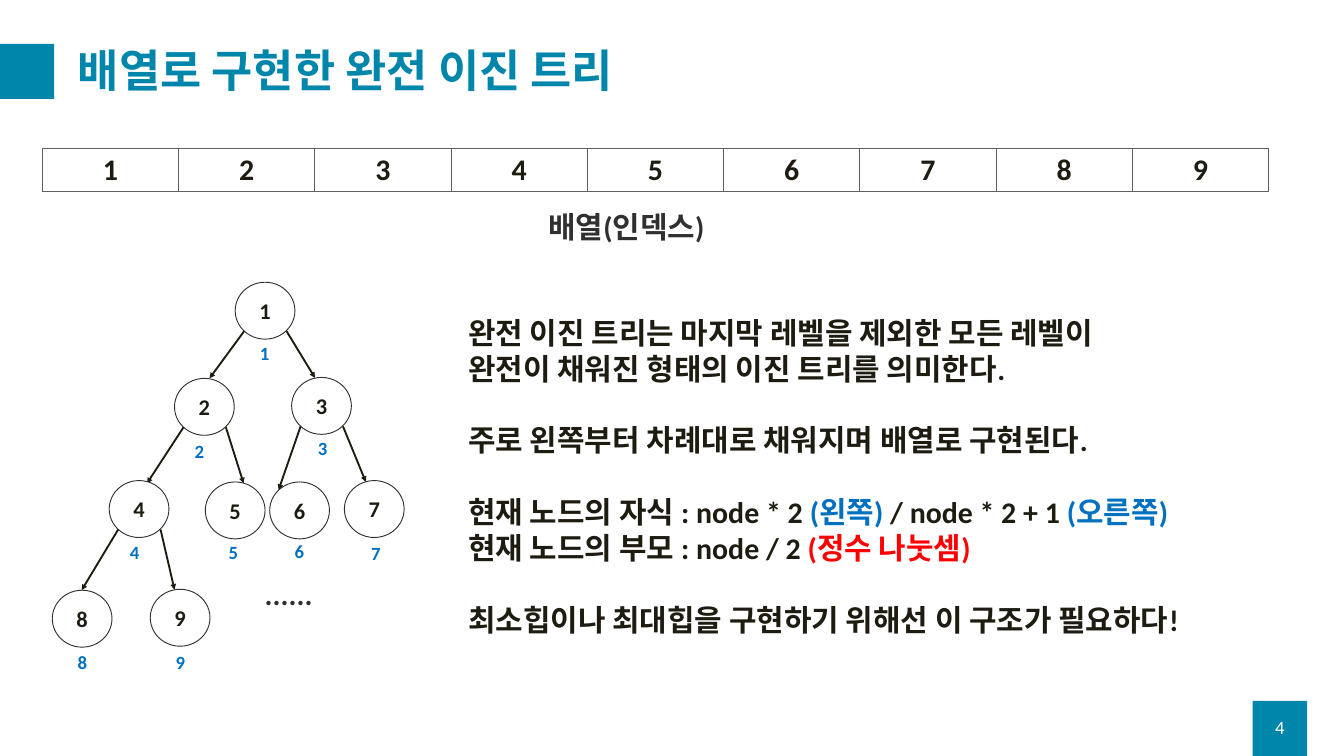
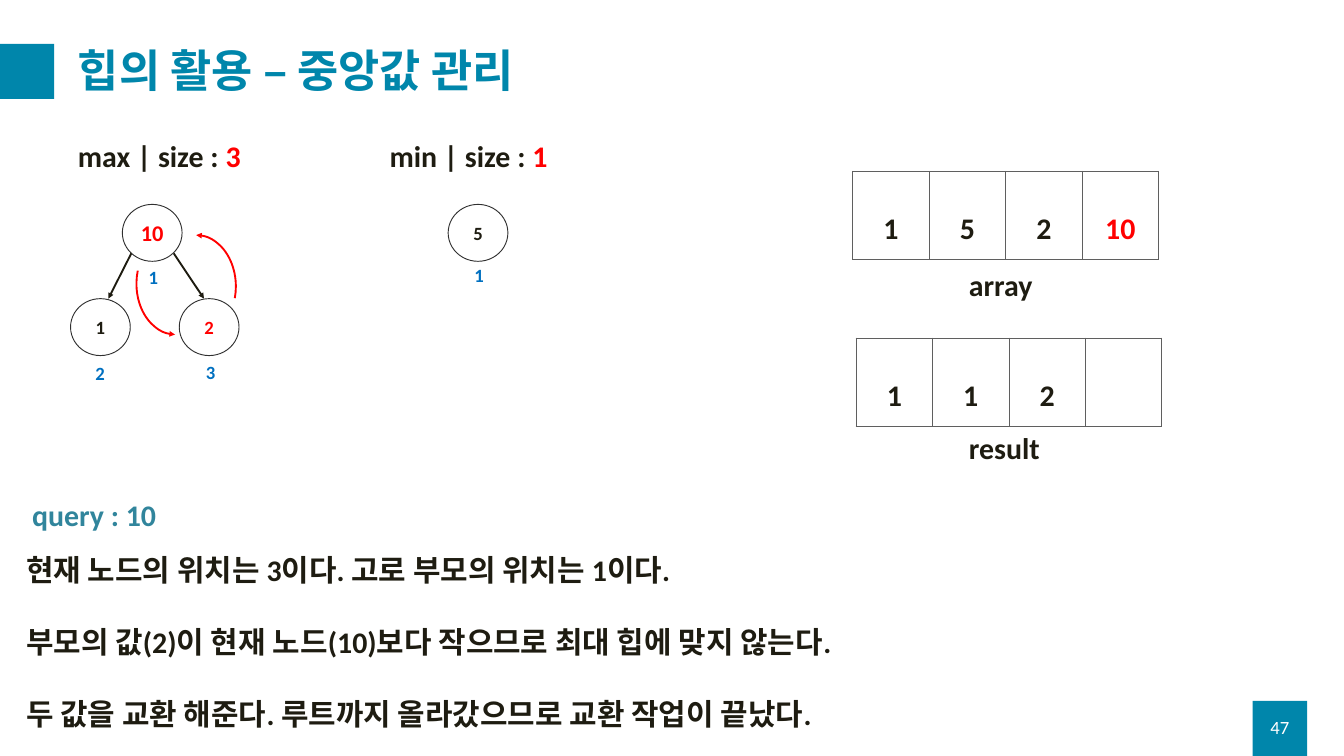
from lxml.etree import SubElement
from pptx import Presentation
from pptx.dml.color import RGBColor
from pptx.enum.shapes import MSO_CONNECTOR, MSO_SHAPE
from pptx.enum.text import MSO_ANCHOR, MSO_AUTO_SIZE, PP_ALIGN
from pptx.oxml.ns import qn
from pptx.util import Pt

TEAL, INK, GREY = "0086AB", "1E1C11", "303030"
BLUE, RED, WHITE, RULE = "0070C0", "FF0000", "FFFFFF", "5F5F5F"
FONT = "Calibri"
LEFT, MID = PP_ALIGN.LEFT, PP_ALIGN.CENTER
NODE_W, NODE_H = 64, 61
GAP = 38.5  # height of one skipped line


def paint(hue):
    return RGBColor.from_string(hue)


def write(frame, lines, size=32, hue=INK, bold=True, align=LEFT, space=None, gaps=()):
    """Fill a frame; a line is a string or a list of (text, hue) runs."""
    for row, line in enumerate(lines):
        para = frame.paragraphs[0] if row == 0 else frame.add_paragraph()
        para.alignment = align
        if space:
            para.line_spacing = space
        if row in gaps:
            para.space_before = Pt(GAP)
        for text, tint in [(line, hue)] if isinstance(line, str) else line:
            run = para.add_run()
            run.text = text
            font = run.font
            font.name, font.size, font.bold = FONT, Pt(size), bold
            font.color.rgb = paint(tint)


def label(slide, box, *lines, anchor=MSO_ANCHOR.TOP, **form):
    frame = slide.shapes.add_textbox(*map(Pt, box)).text_frame
    frame.word_wrap = True
    frame.vertical_anchor = anchor
    write(frame, lines, **form)


def shape(slide, kind, box, fill=None, line=None, width=1):
    item = slide.shapes.add_shape(kind, *map(Pt, box))
    item.shadow.inherit = False
    if fill:
        item.fill.solid()
        item.fill.fore_color.rgb = paint(fill)
    else:
        item.fill.background()
    if line:
        item.line.color.rgb = paint(line)
        item.line.width = Pt(width)
    else:
        item.line.fill.background()
    return item


def tip(item, end):
    SubElement(item.line._get_or_add_ln(), qn(f"a:{end}"), type="triangle")


def arrow(slide, start, stop):
    item = slide.shapes.add_connector(MSO_CONNECTOR.STRAIGHT, *map(Pt, start + stop))
    item.line.color.rgb = paint(INK)
    item.line.width = Pt(2)
    tip(item, "tailEnd")
    SubElement(item.element.spPr, qn("a:effectLst"))


def arc(slide, box, turn=0):
    item = shape(slide, MSO_SHAPE.ARC, box, line=RED, width=2)
    item.adjustments[0], item.adjustments[1] = 162, 10.149
    item.rotation = turn
    tip(item, "headEnd")


# Shared layout and page frame
def bands(deck, layout):
    """Move the two teal squares onto the layout."""
    slide = deck.slides[0]
    for x, y in ((1342, 751), (-0.5, 47)):
        band = shape(slide, MSO_SHAPE.RECTANGLE, (x, y, 58.5, 59), TEAL)
        layout.shapes.element.insert(2, band.element)


def page(deck, layout, title, number):
    slide = deck.slides.add_slide(layout)
    head = slide.shapes.title
    head.left, head.top, head.width, head.height = map(Pt, (76.3, 36, 1314, 85))
    frame = head.text_frame
    frame.auto_size = MSO_AUTO_SIZE.NONE
    frame.vertical_anchor = MSO_ANCHOR.MIDDLE
    write(frame, [title], size=48, hue=TEAL, space=0.9)
    label(slide, (1342, 757.5, 58.5, 43), str(number), size=20, hue=WHITE,
          bold=False, align=MID, anchor=MSO_ANCHOR.MIDDLE)
    return slide


# Array drawn as a one-row table
def edge(cell):
    props = cell._tc.get_or_add_tcPr()
    for row, side in enumerate(("lnL", "lnR", "lnT", "lnB")):
        line = SubElement(props, qn(f"a:{side}"), w=str(Pt(1)))
        fill = SubElement(line, qn("a:solidFill"))
        SubElement(fill, qn("a:srgbClr"), val=RULE)
        props.insert(row, line)


def array(slide, box, items, space=None, hot=None):
    x, y, wide, high = box
    table = slide.shapes.add_table(1, len(items), *map(Pt, box)).table
    table.first_row = table.horz_banding = False
    table.rows[0].height = Pt(high)
    for col, item in enumerate(items):
        table.columns[col].width = Pt(wide / len(items))
        cell = table.cell(0, col)
        cell.fill.solid()
        cell.fill.fore_color.rgb = paint(WHITE)
        edge(cell)
        if item:
            write(cell.text_frame, [item], align=MID, space=space,
                  hue=RED if col == hot else INK)


# Binary tree: index -> (x, y), value, tag offset, arrow tip offset
def node(slide, x, y, value, size, hue):
    ball = shape(slide, MSO_SHAPE.OVAL, (x, y, NODE_W, NODE_H), WHITE, GREY)
    frame = ball.text_frame
    frame.margin_left = frame.margin_right = 0
    frame.vertical_anchor = MSO_ANCHOR.MIDDLE
    write(frame, [value], size=size, hue=hue, align=MID)


def tree(slide, left, top, nodes, sizes=(24, 24), hot=()):
    for index, (spot, value, tag, end) in nodes.items():
        x, y = left + spot[0], top + spot[1]
        if end:
            above = nodes[index // 2][0]
            share = 0.86 if index % 2 else 0.15
            start = (left + above[0] + share * NODE_W, top + above[1] + 0.86 * NODE_H)
            arrow(slide, start, (x + end[0], y + end[1]))
        node(slide, x, y, value, sizes[index > 1], RED if index in hot else INK)
        label(slide, (x + tag[0], y + tag[1], 21.6, 31.5), str(index),
              size=20, hue=BLUE)


FULL = {
    1: ((196, 0), "1", (19.5, 60), None),
    2: ((131, 103), "2", (14.5, 62.5), (37.5, 0)),
    3: ((256.5, 102), "3", (21, 60.5), (25, 0.5)),
    4: ((61, 212.5), "4", (15, 60.5), (40.5, 3)),
    5: ((164, 214), "5", (18, 59), (41, 1.5)),
    6: ((233, 214), "6", (19.5, 58.5), (9.5, 8.5)),
    7: ((313, 212.5), "7", (21.5, 62.5), (23, 1.5)),
    8: ((0, 330), "8", (20, 61), (31.5, 0)),
    9: ((105, 329), "9", (20, 62), (26, 0.5)),
}
MAX = {
    1: ((55.5, 0), "10", (21, 62), None),
    2: ((0, 101), "1", (19.5, 64), (40.5, 0)),
    3: ((116.5, 101), "2", (21.5, 63.5), (26.5, 0)),
}
MIN = {1: ((0, 0), "5", (21, 60.5), None)}


def heap(slide, left, top, name, count):
    label(slide, (left, top, 216, 46),
          [(f"{name} | size : ", INK), (count, RED)])


def swap(slide, left, top):
    """Two red arcs that show the exchange of nodes."""
    arc(slide, (left + 21.5, top + 3.5, 85, 110))
    arc(slide, (left, top, 85, 110), 181.2)


# Slides
def complete(slide):
    array(slide, (45.4, 159, 1314, 45), [str(n) for n in range(1, 10)])
    label(slide, (580.3, 220.3, 186.5, 46), "배열(인덱스)", hue=GREY)
    tree(slide, 56, 302.4, FULL)
    label(slide, (276.5, 613.5, 186.5, 46), "......", hue=GREY)
    label(slide, (494.6, 333.4, 846, 356),
          "완전 이진 트리는 마지막 레벨을 제외한 모든 레벨이",
          "완전이 채워진 형태의 이진 트리를 의미한다.",
          "주로 왼쪽부터 차례대로 채워지며 배열로 구현된다.",
          [("현재 노드의 자식 : node * 2 ", INK), ("(왼쪽) ", BLUE),
           ("/ node * 2 + 1 ", INK), ("(오른쪽)", BLUE)],
          [("현재 노드의 부모 : node / 2 ", INK), ("(정수 나눗셈)", RED)],
          "최소힙이나 최대힙을 구현하기 위해선 이 구조가 필요하다!",
          gaps=(2, 3, 5))


def median(slide):
    array(slide, (913.7, 183.6, 327.6, 94.3), ["1", "5", "2", "10"], space=2, hot=3)
    array(slide, (917.3, 362.2, 327.6, 94.3), ["1", "1", "2", ""], space=2)
    label(slide, (1031, 282.2, 83, 46), "array")
    label(slide, (1031, 457.2, 106.5, 46), "result")
    heap(slide, 76.3, 144, "max", "3")
    heap(slide, 410.4, 144, "min", "1")
    tree(slide, 75.6, 219, MAX, sizes=(24, 20), hot=(1, 3))
    tree(slide, 480.2, 219, MIN, sizes=(20, 20))
    swap(slide, 146.2, 248.4)
    label(slide, (27.4, 528.5, 484.6, 46), "query : 10", hue="31859C")
    label(slide, (20.9, 587.5, 1379.5, 201),
          "현재 노드의 위치는 3이다. 고로 부모의 위치는 1이다.",
          "부모의 값(2)이 현재 노드(10)보다 작으므로 최대 힙에 맞지 않는다.",
          "두 값을 교환 해준다. 루트까지 올라갔으므로 교환 작업이 끝났다.",
          gaps=(1, 2))


def main():
    deck = Presentation()
    deck.slide_width, deck.slide_height = Pt(1440), Pt(810)
    layout = deck.slide_layouts[5]
    first = page(deck, layout, "배열로 구현한 완전 이진 트리", 4)
    bands(deck, layout)
    complete(first)
    median(page(deck, layout, "힙의 활용 – 중앙값 관리", 47))
    deck.save("out.pptx")


if __name__ == "__main__":
    main()
